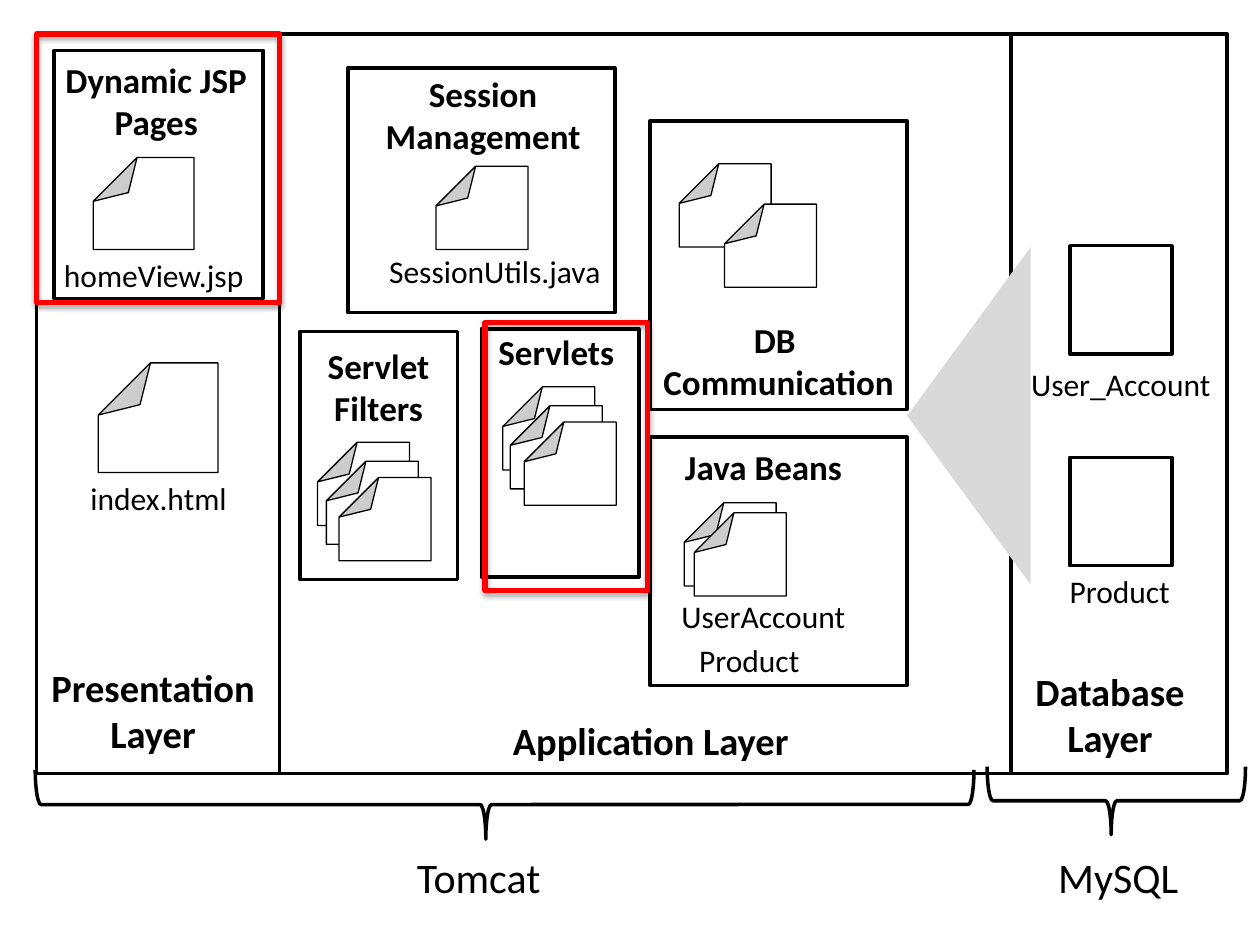
from lxml import etree
from pptx import Presentation
from pptx.dml.color import RGBColor
from pptx.enum.shapes import MSO_SHAPE
from pptx.enum.text import MSO_ANCHOR, PP_ALIGN
from pptx.oxml import parse_xml
from pptx.oxml.ns import nsdecls, qn
from pptx.util import Pt

RECT = MSO_SHAPE.RECTANGLE
PAGE = MSO_SHAPE.FOLDED_CORNER
BRACE = MSO_SHAPE.LEFT_BRACE
TRIANGLE = MSO_SHAPE.ISOSCELES_TRIANGLE
LEFT, CENTER = PP_ALIGN.LEFT, PP_ALIGN.CENTER
MIDDLE = MSO_ANCHOR.MIDDLE

PX = 9144  # 100 px to the inch
FONT = "Calibri"
BLACK, WHITE, RED, GREY = "000000", "FFFFFF", "FF0000", "D9D9D9"
LAYER_TOP, LAYER_HEIGHT = 27, 587
FILE_SIZE = (73, 66)
LAYER_PT, TITLE_PT, LABEL_PT, SERVER_PT = 22, 20, 18, 24
SHADOW = (
    f'<a:effectLst {nsdecls("a")}>'
    '<a:outerShdw blurRad="39370" dist="22860" dir="5400000" rotWithShape="0">'
    '<a:srgbClr val="000000"><a:alpha val="35000"/></a:srgbClr>'
    '</a:outerShdw></a:effectLst>'
)


def color(hex_value):
    return RGBColor.from_string(hex_value)


def inside(box, left, top, width, height):
    """Turn a place relative to box into a place on the slide."""
    return box[0] + left, box[1] + top, width, height


def add_shape(slide, kind, box, fill=None, line=None, line_pt=2, rotation=0):
    shape = slide.shapes.add_shape(kind, *(side * PX for side in box))
    shape.shadow.inherit = False
    shape.rotation = rotation
    if fill:
        shape.fill.solid()
        shape.fill.fore_color.rgb = color(fill)
    else:
        shape.fill.background()
    if line:
        shape.line.color.rgb = color(line)
        shape.line.width = Pt(line_pt)
    else:
        shape.line.fill.background()
    return shape


def add_text(slide, box, lines, size, bold=False, align=CENTER, wrap=False):
    frame = slide.shapes.add_textbox(*(side * PX for side in box)).text_frame
    frame.word_wrap = wrap
    for index, line in enumerate(lines):
        paragraph = frame.add_paragraph() if index else frame.paragraphs[0]
        paragraph.alignment = align
        run = paragraph.add_run()
        run.text = line
        run.font.name = FONT
        run.font.size = Pt(size)
        run.font.bold = bold
        run.font.color.rgb = color(BLACK)
    return frame


def add_label(slide, box, text, align=LEFT):
    add_text(slide, box, [text], LABEL_PT, align=align)


def add_frame(slide, box):
    add_shape(slide, RECT, box, line=BLACK)


def add_file(slide, box):
    """Page with its corner folded; the fold depth can only be set in XML."""
    page = add_shape(slide, PAGE, box, WHITE, BLACK, 0.75, 180)
    guides = page.element.spPr.find(qn("a:prstGeom")).find(qn("a:avLst"))
    etree.SubElement(guides, qn("a:gd"), name="adj", fmla="val 47600")


def add_component(slide, box, title, title_box, files, labels=(),
                  file_size=FILE_SIZE):
    """Framed part of a layer: a title, stacked files and their names."""
    add_frame(slide, box)
    frame = add_text(slide, inside(box, *title_box), title, TITLE_PT, True, wrap=True)
    frame.vertical_anchor = MIDDLE
    for left, top in files:
        add_file(slide, inside(box, left, top, *file_size))
    for text, label_box in labels:
        add_label(slide, inside(box, *label_box), text)


def add_application_layer(slide, box):
    add_frame(slide, box)
    add_text(slide, inside(box, 58, 537, 473, 47), ["Application Layer"],
             LAYER_PT, True, wrap=True)
    add_component(
        slide, inside(box, 294, 320, 204, 197), ["Java Beans"], (0, 1, 180, 44),
        [(27, 52), (35, 60)],
        [("UserAccount", (15, 122, 152, 40)), ("Product", (29, 157, 102, 40))])
    add_component(
        slide, inside(box, 294, 69, 204, 229), ["DB ", "Communication"],
        (0, 152, 204, 77), [(23, 34), (59, 66)])
    add_component(
        slide, inside(box, 160, 234, 125, 197), ["Servlets"], (0, -4, 119, 44),
        [(17, 46), (23, 61), (34, 74)])
    add_component(
        slide, inside(box, 16, 236, 125, 197), ["Servlet Filters"],
        (3, 5, 119, 77), [(14, 88), (21, 103), (31, 116)])
    add_component(
        slide, inside(box, 54, 27, 212, 194), ["Session Management"],
        (9, -2, 197, 77), [(70, 78)],
        [("SessionUtils.java", (23, 141, 191, 40))])


def add_presentation_layer(slide, box):
    add_frame(slide, box)
    add_text(slide, inside(box, 0, 495, 185, 84), ["Presentation", "Layer"],
             LAYER_PT, True)
    add_file(slide, inside(box, 49, 261, 95, 87))
    add_label(slide, inside(box, 33, 348, 130, 40), "index.html")
    add_component(
        slide, inside(box, 14, 13, 166, 197), ["Dynamic JSP Pages"],
        (-2, 1, 166, 77), [(31, 85)],
        [("homeView.jsp", (-2, 158, 166, 40))], file_size=(80, 73))


def add_database_layer(slide, box):
    """Database column with the grey wedge that reaches back to the beans."""
    add_frame(slide, box)
    add_text(slide, inside(box, 9, 498, 140, 84), ["Database", "Layer"],
             LAYER_PT, True)
    add_shape(slide, TRIANGLE, inside(box, -167, 254, 268, 98), GREY, rotation=270)
    for top in (168, 336):
        add_frame(slide, inside(box, 47, top, 81, 86))
    add_label(slide, inside(box, 5, 258, 165, 40), "User_Account", CENTER)
    add_label(slide, inside(box, 37, 422, 102, 40), "Product")


def add_server(slide, box, name, name_box):
    """Brace lying under the layers, with the name of the server below it."""
    left, top, width, height = box
    shift = (width - height) // 2
    turned = (left + shift, top - shift, height, width)
    brace = add_shape(slide, BRACE, turned, line=BLACK, rotation=270)
    brace.adjustments[0], brace.adjustments[1] = 0.083, 0.48
    add_text(slide, inside(box, *name_box), [name], SERVER_PT, align=LEFT)


def add_highlight(slide, box):
    properties = add_shape(slide, RECT, box, line=RED, line_pt=3).element.spPr
    properties.replace(properties.find(qn("a:effectLst")), parse_xml(SHADOW))


def main():
    presentation = Presentation()
    presentation.slide_width, presentation.slide_height = 1000 * PX, 750 * PX
    slide = presentation.slides.add_slide(presentation.slide_layouts[6])

    add_application_layer(slide, (222, LAYER_TOP, 581, LAYER_HEIGHT))
    add_presentation_layer(slide, (29, LAYER_TOP, 193, LAYER_HEIGHT))
    add_database_layer(slide, (802, LAYER_TOP, 172, LAYER_HEIGHT))
    add_server(slide, (28, 611, 745, 55), "Tomcat", (293, 60, 123, 50))
    add_server(slide, (784, 608, 205, 54), "MySQL", (46, 63, 117, 50))
    add_highlight(slide, (29, LAYER_TOP, 193, 213))
    add_highlight(slide, (385, 256, 129, 213))

    presentation.save("out.pptx")


if __name__ == "__main__":
    main()
